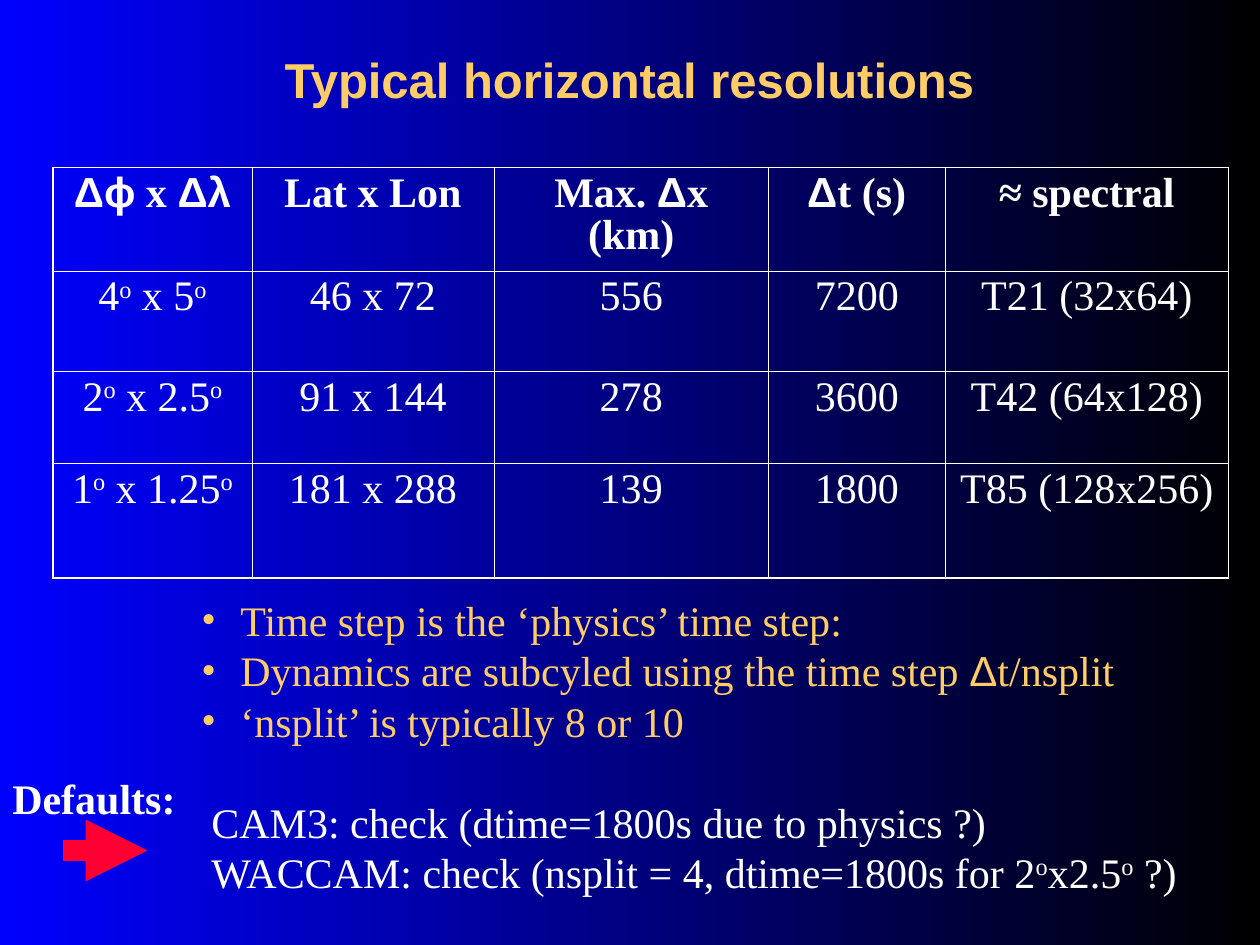
from lxml.etree import SubElement
from pptx import Presentation
from pptx.dml.color import RGBColor
from pptx.enum.shapes import MSO_CONNECTOR
from pptx.enum.text import MSO_ANCHOR, PP_ALIGN
from pptx.oxml import parse_xml
from pptx.oxml.ns import nsdecls, qn
from pptx.util import Inches, Pt

WHITE, GOLD, RED = "FFFFFF", "FFCC66", "FF0033"
SERIF, SANS = "Times New Roman", "Arial"
SIZE, LINE_PITCH = 24, 28.8
DEGREE = ("o", "super")

TITLE = "Typical horizontal resolutions"
HEADINGS = [
    [("Δϕ", "greek"), " x ", ("Δλ", "greek")],
    ["Lat x Lon"],
    ["Max. ", ("Δ", "greek"), "x (km)"],
    [("Δ", "greek"), "t (s)"],
    ["≈ spectral"],
]
RESOLUTIONS = [
    [["4", DEGREE, " x 5", DEGREE], ["46 x 72"], ["556"], ["7200"], ["T21 (32x64)"]],
    [["2", DEGREE, " x 2.5", DEGREE], ["91 x 144"], ["278"], ["3600"], ["T42 (64x128)"]],
    [["1", DEGREE, " x 1.25", DEGREE], ["181 x 288"], ["139"], ["1800"], ["T85 (128x256)"]],
]
COLUMN_WIDTHS = [1.58, 1.92, 2.18, 1.4, 2.25]
ROW_HEIGHTS = [0.53, 0.8, 0.73, 0.91]
NOTES = [
    ["Time step is the ‘physics’ time step:"],
    ["Dynamics are subcyled using the time step ", ("Δ", "greek"), "t/nsplit"],
    ["‘nsplit’ is typically 8 or 10"],
]
DEFAULTS = [
    ["CAM3: check (dtime=1800s due to physics ?)"],
    ["WACCAM: check (nsplit = 4, dtime=1800s for 2", DEGREE, "x2.5", DEGREE, " ?)"],
]


def rgb(value):
    """Turn a hex string into a colour."""
    return RGBColor.from_string(value)


def write(paragraph, parts, color, size=SIZE, face=SERIF, bold=False):
    """Add each part as a run, with Greek letters in sans and degrees raised."""
    for part in parts:
        text, style = (part, "") if isinstance(part, str) else part
        run = paragraph.add_run()
        run.text = text
        run.font.name = SANS if style == "greek" else face
        run.font.size, run.font.bold = Pt(size), bold
        run.font.color.rgb = rgb(color)
        if style == "super":
            run.font._element.set("baseline", "30000")


def indent(paragraph, left, bullet=False):
    """Set the left margin and, if asked, hang a bullet in it."""
    properties = paragraph._p.get_or_add_pPr()
    properties.set("marL", str(Inches(left)))
    if bullet:
        properties.set("indent", str(-Inches(left)))
        color = SubElement(properties, qn("a:buClr"))
        SubElement(color, qn("a:srgbClr"), val=GOLD)
        SubElement(properties, qn("a:buFont"), typeface=SERIF)
        SubElement(properties, qn("a:buChar"), char="•")


def add_text_box(slide, left, top, width, height, wrap):
    """Add an empty text box."""
    box = slide.shapes.add_textbox(*map(Inches, (left, top, width, height)))
    box.text_frame.word_wrap = wrap
    return box.text_frame


def set_borders(cell, widths):
    """Draw the left, right, top and bottom borders of a cell."""
    properties = cell._tc.get_or_add_tcPr()
    for position, (side, width) in enumerate(zip("LRTB", widths)):
        properties.insert(position, parse_xml(
            f'<a:ln{side} {nsdecls("a")} w="{Pt(width)}"><a:solidFill>'
            f'<a:srgbClr val="{WHITE}"/></a:solidFill></a:ln{side}>'))


def add_title(slide):
    """Place and fill the title."""
    title = slide.shapes.title
    title.left, title.top, title.width, title.height = map(Inches, (0.33, 0, 9.33, 1.25))
    title.text_frame.vertical_anchor = MSO_ANCHOR.MIDDLE
    paragraph = title.text_frame.paragraphs[0]
    paragraph.alignment = PP_ALIGN.CENTER
    write(paragraph, [TITLE], GOLD, 28, SANS, True)


def add_resolution_table(slide):
    """Add the grid of resolutions with a heavier outer frame."""
    rows = [HEADINGS] + RESOLUTIONS
    last_row, last_column = len(rows) - 1, len(HEADINGS) - 1
    frame = slide.shapes.add_table(
        len(rows), len(HEADINGS), Inches(0.42), Inches(1.33),
        Inches(sum(COLUMN_WIDTHS)), Inches(sum(ROW_HEIGHTS)))
    table = frame.table
    table.first_row = table.horz_banding = False
    for column, width in zip(table.columns, COLUMN_WIDTHS):
        column.width = Inches(width)
    for r, (row, height) in enumerate(zip(rows, ROW_HEIGHTS)):
        table.rows[r].height = Inches(height)
        for c, parts in enumerate(row):
            cell = table.cell(r, c)
            cell.fill.background()
            outer = (c == 0, c == last_column, r == 0, r == last_row)
            set_borders(cell, [1.08 if edge else 0.45 for edge in outer])
            paragraph = cell.text_frame.paragraphs[0]
            paragraph.alignment = PP_ALIGN.CENTER
            paragraph.line_spacing = 0.9
            write(paragraph, parts, WHITE, bold=r == 0)


def add_notes(slide):
    """Add the bulleted notes and the default settings below them."""
    body = add_text_box(slide, 1.5, 4.67, 8.17, 2.5, True)
    for i, parts in enumerate(NOTES + DEFAULTS):
        is_note = i < len(NOTES)
        paragraph = body.paragraphs[0] if i == 0 else body.add_paragraph()
        paragraph.line_spacing = Pt(LINE_PITCH)
        if i == len(NOTES):
            paragraph.space_before = Pt(LINE_PITCH)
        indent(paragraph, 0.31 if is_note else 0.08, is_note)
        write(paragraph, parts, GOLD if is_note else WHITE)


def add_defaults_pointer(slide):
    """Add the arrow and its label."""
    arrow = slide.shapes.add_connector(
        MSO_CONNECTOR.STRAIGHT, *map(Inches, (0.5, 6.75, 1.17, 6.75)))
    arrow.line.color.rgb = rgb(RED)
    arrow.line.width = Pt(11.75)
    SubElement(arrow.line._get_or_add_ln(), qn("a:tailEnd"), type="triangle")
    SubElement(arrow._element.spPr, qn("a:effectLst"))
    label_frame = add_text_box(slide, 0, 6.08, 1.49, 0.5, False)
    label_frame.margin_left = label_frame.margin_right = Inches(0.05)
    label = label_frame.paragraphs[0]
    label.alignment = PP_ALIGN.CENTER
    label.line_spacing = Pt(LINE_PITCH)
    write(label, ["Defaults:"], WHITE, bold=True)


def main():
    """Build the slide and save it."""
    deck = Presentation()
    deck.slide_width, deck.slide_height = Inches(10), Inches(7.5)
    slide = deck.slides.add_slide(deck.slide_layouts[5])
    backdrop = slide.background.fill
    backdrop.gradient()
    backdrop.gradient_angle = 0
    for stop, color in zip(backdrop.gradient_stops, ("0000FF", "000000")):
        stop.color.rgb = rgb(color)
    add_title(slide)
    add_notes(slide)
    add_resolution_table(slide)
    add_defaults_pointer(slide)
    deck.save("out.pptx")


if __name__ == "__main__":
    main()
